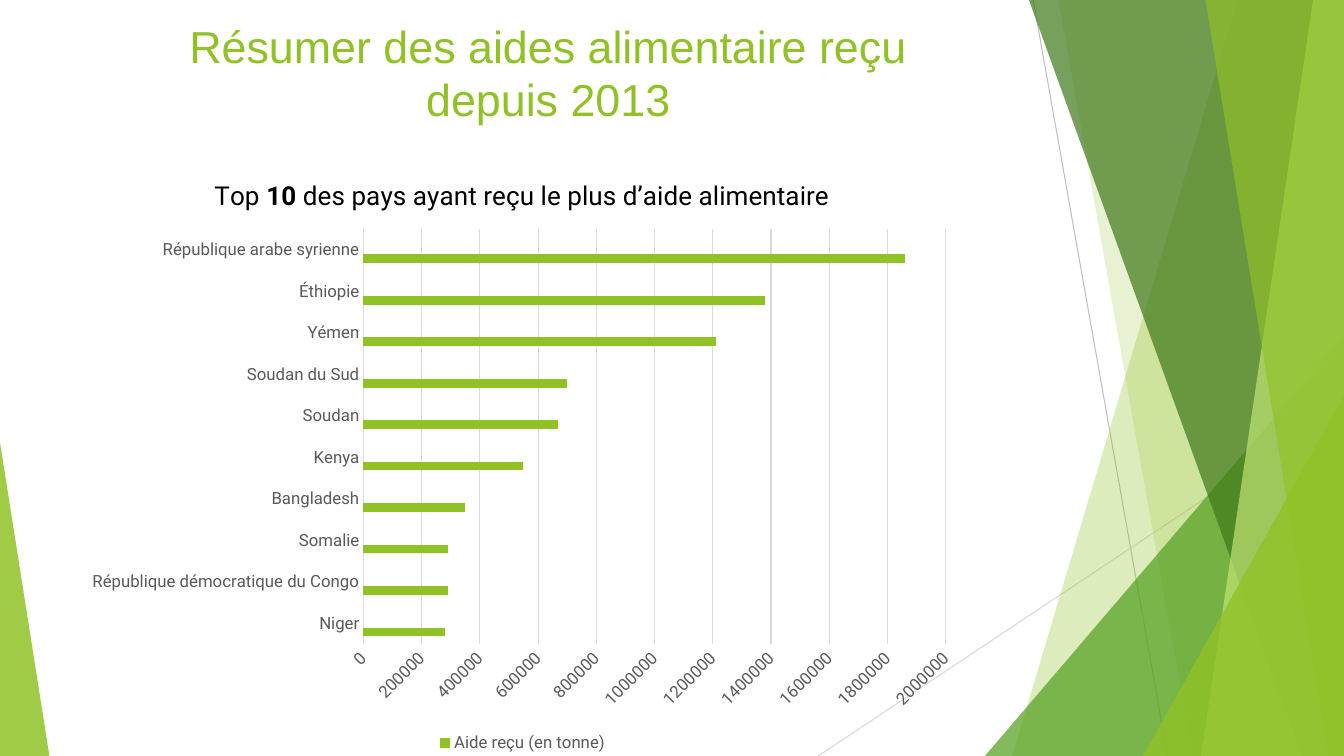
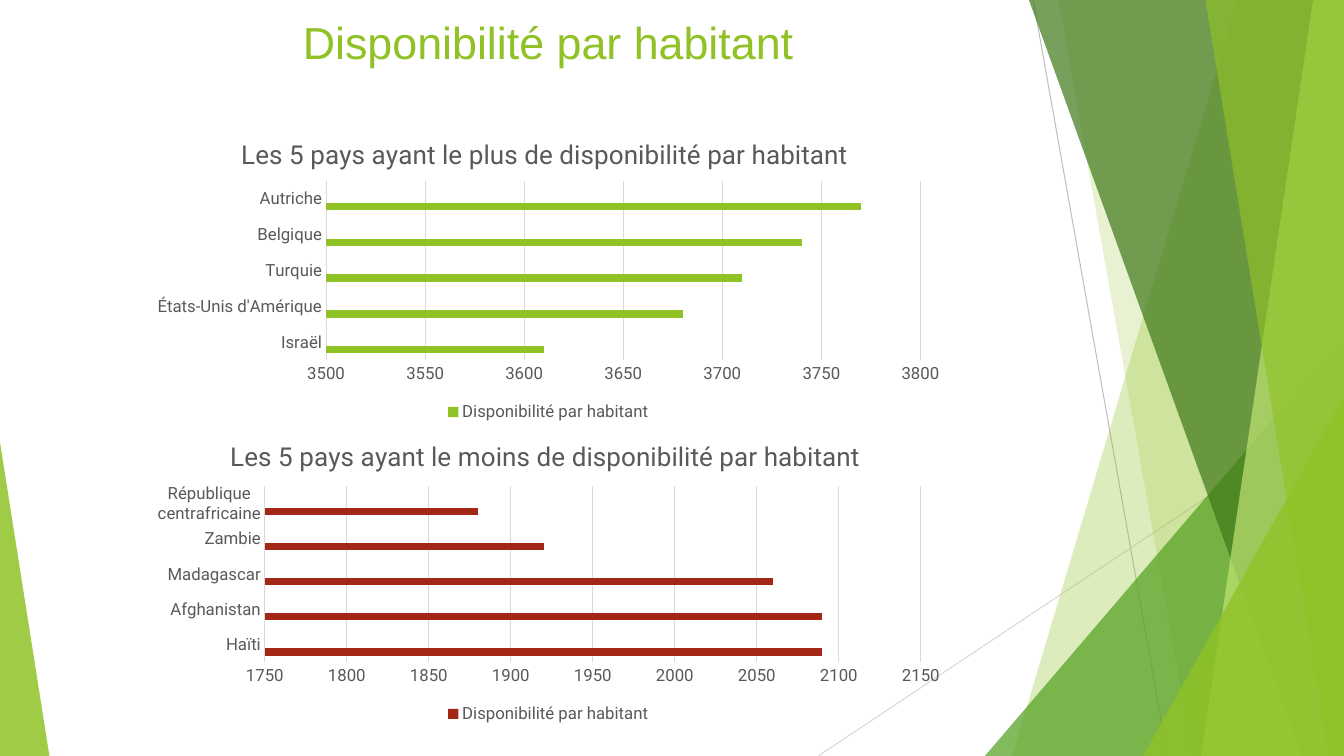
"""Build two slides on food aid and food availability per inhabitant."""
from lxml import etree
from pptx import Presentation
from pptx.chart.data import CategoryChartData
from pptx.dml.color import RGBColor
from pptx.enum import chart as ec, shapes as es, text as et
from pptx.oxml import parse_xml
from pptx.oxml.ns import nsdecls, qn
from pptx.util import Pt

GREEN, RED, GREY, RULE = "90C226", "A32716", "595959", "D9D9D9"
WIDE, HIGH = 960, 540
rgb = RGBColor.from_string


def put(par, text, font="Roboto", size=18.6, color=GREY, bold=False):
    """Add text to a paragraph, with line breaks at newlines."""
    for num, part in enumerate(text.split("\n")):
        if num:
            par.add_line_break()
        run = par.add_run()
        run.text = part
        run.font.name, run.font.size, run.font.bold = font, Pt(size), bold
        run.font.color.rgb = rgb(color)


def place(node, index, box, frame, inner=False):
    """Fix the place of a chart part, given in slide points."""
    for old in node.findall(qn("c:layout")):
        node.remove(old)
    left, top, width, height = frame
    vals = [("x", (box[0] - left) / width), ("y", (box[1] - top) / height)]
    if inner:
        vals += [("w", box[2] / width), ("h", box[3] / height)]
    tags = '<c:layoutTarget val="inner"/>' if inner else ""
    tags += '<c:xMode val="edge"/><c:yMode val="edge"/>'
    tags += "".join(f'<c:{key} val="{val:.4f}"/>' for key, val in vals)
    node.insert(index, parse_xml(
        f'<c:layout {nsdecls("c")}><c:manualLayout>{tags}</c:manualLayout></c:layout>'))


prs = Presentation()
prs.slide_width, prs.slide_height = Pt(WIDE), Pt(HIGH)
base = prs.slide_layouts[5]
for hold in list(base.placeholders)[1:]:
    hold.element.getparent().remove(hold.element)
pages = [prs.slides.add_slide(base) for _ in range(2)]

draw = pages[0].shapes
decor = []
for x1, y1, x2, y2, color in [
    (738, 0, 834, HIGH, "BFBFBF"),
    (WIDE, 290, 584.5, HIGH, RULE),
]:
    line = draw.add_connector(es.MSO_CONNECTOR.STRAIGHT, Pt(x1), Pt(y1), Pt(x2), Pt(y2))
    line.line.color.rgb, line.line.width = rgb(color), Pt(0.75)
    etree.SubElement(line.element.spPr, qn("a:effectLst"))
    decor.append(line)

for kind, dims, color, alpha in [
    ("band", (884.2, 723), GREEN, 30),
    ("band", (756, 852), GREEN, 20),
    ("peak", (703.5, 240, 256.5, 1), "54A021", 72),
    ("band", (735.3, 929.5), "3F7819", 70),
    ("band", (938.2, 858.2), "C0E474", 70),
    ("band", (861.3, 949), GREEN, 65),
    ("peak", (816.5, 283, 143.5, 1), GREEN, 80),
    ("peak", (0, 316, 35.3, 0), GREEN, 85),
]:
    if kind == "band":
        top, foot = dims
        free = draw.build_freeform(top, 0, scale=Pt(1))
        free.add_line_segments([(WIDE, 0), (WIDE, HIGH), (foot, HIGH)])
        shape = free.convert_to_shape()
    else:
        left, top, width, tip = dims
        shape = draw.add_shape(es.MSO_SHAPE.ISOSCELES_TRIANGLE,
                               Pt(left), Pt(top), Pt(width), Pt(HIGH - top))
        shape.adjustments[0] = tip
    shape.shadow.inherit = False
    shape.line.fill.background()
    shape.fill.solid()
    shape.fill.fore_color.rgb = rgb(color)
    tone = shape.element.spPr.find(".//" + qn("a:srgbClr"))
    etree.SubElement(tone, qn("a:alpha")).set("val", str(alpha * 1000))
    decor.append(shape)

tree = base.shapes._spTree
for num, shape in enumerate(decor):
    shape.element.xpath(".//p:cNvPr")[0].set("id", str(20 + num))
    tree.insert(2 + num, shape.element)

for page, top, words in [
    (pages[0], 9.4, "Résumer des aides alimentaire reçu\ndepuis 2013"),
    (pages[1], 7.2, "Disponibilité par habitant"),
]:
    title = page.shapes.title
    title.left, title.top, title.width, title.height = Pt(53.3), Pt(top), Pt(676.8), Pt(103.7)
    frame = title.text_frame
    frame.word_wrap = True
    frame.vertical_anchor = et.MSO_ANCHOR.TOP
    frame.paragraphs[0].alignment = et.PP_ALIGN.CENTER
    put(frame.paragraphs[0], words, font="Arial", size=32, color=GREEN)

charts = [
    dict(page=pages[0], frame=(53.3, 113.8, 640, 427), plot=(259.6, 163.9, 416, 296.4),
         head=(151, 126.2), ink="000000", fill=GREEN, name="Aide reçu (en tonne)",
         runs=["Top ", "10", " des pays ayant reçu le plus d’aide alimentaire"],
         axis=(0, 2000000, 200000), turn=-45,
         data={"Niger": 280000, "République démocratique du Congo": 290000,
               "Somalie": 290000, "Bangladesh": 350000, "Kenya": 550000,
               "Soudan": 670000, "Soudan du Sud": 700000, "Yémen": 1210000,
               "Éthiopie": 1380000, "République arabe syrienne": 1860000}),
    dict(page=pages[1], frame=(100.8, 88.3, 581.8, 216), plot=(232.9, 129.5, 424.6, 127.9),
         head=(168.9, 94.5), ink=GREY, fill=GREEN, name="Disponibilité par habitant",
         runs=["Les 5 pays ayant le plus de disponibilité par habitant"],
         axis=(3500, 3800, 50), turn=0,
         data={"Israël": 3610, "États-Unis d'Amérique": 3680, "Turquie": 3710,
               "Belgique": 3740, "Autriche": 3770}),
    dict(page=pages[1], frame=(100.8, 304, 581.8, 216), plot=(189.2, 347.4, 468.6, 125.7),
         head=(161.1, 310.2), ink=GREY, fill=RED, name="Disponibilité par habitant",
         runs=["Les 5 pays ayant le moins de disponibilité par habitant"],
         axis=(1750, 2150, 50), turn=0,
         data={"Haïti": 2090, "Afghanistan": 2090, "Madagascar": 2060,
               "Zambie": 1920, "République centrafricaine": 1880}),
]

for item in charts:
    data = CategoryChartData()
    data.categories = list(item["data"])
    data.add_series(item["name"], item["data"].values())
    for name in ("Series 2", "Colonne2"):
        data.add_series(name, [None] * len(item["data"]))
    chart = item["page"].shapes.add_chart(
        ec.XL_CHART_TYPE.BAR_CLUSTERED, *map(Pt, item["frame"]), data).chart
    chart.font.name, chart.font.size = "Roboto", Pt(10)

    par = chart.chart_title.text_frame.paragraphs[0]
    for run in item["runs"]:
        put(par, run, color=item["ink"], bold=run == "10")
    chart.chart_title.include_in_layout = False
    place(chart.chart_title._element, 1, item["head"], item["frame"])
    area = chart._chartSpace.find(".//" + qn("c:plotArea"))
    place(area, 0, item["plot"], item["frame"], inner=True)

    plot = chart.plots[0]
    plot.gap_width, plot.vary_by_categories = 182, False
    bars = plot.series[0].format.fill
    bars.solid()
    bars.fore_color.rgb = rgb(item["fill"])

    cats, vals = chart.category_axis, chart.value_axis
    vals.minimum_scale, vals.maximum_scale, vals.major_unit = item["axis"]
    vals.tick_labels.number_format = "0"
    vals.tick_labels.number_format_is_linked = False
    vals.has_major_gridlines = True
    for line in (vals.major_gridlines.format.line, cats.format.line):
        line.color.rgb, line.width = rgb(RULE), Pt(0.75)
    vals.format.line.fill.background()
    for axis in (cats, vals):
        axis.major_tick_mark = axis.minor_tick_mark = ec.XL_TICK_MARK.NONE

    chart.has_legend = True
    key = chart.legend
    key.position = ec.XL_LEGEND_POSITION.BOTTOM
    key.include_in_layout = False
    for num in (0, 1):
        key._element.insert(1 + num, parse_xml(
            f'<c:legendEntry {nsdecls("c")}><c:idx val="{num}"/>'
            '<c:delete val="1"/></c:legendEntry>'))
    for font in (cats.tick_labels.font, vals.tick_labels.font, key.font):
        font.name, font.size = "Roboto", Pt(12)
        font.color.rgb = rgb(GREY)
    body = vals._element.find(qn("c:txPr")).find(qn("a:bodyPr"))
    body.set("rot", str(item["turn"] * 60000))

prs.save("out.pptx")
